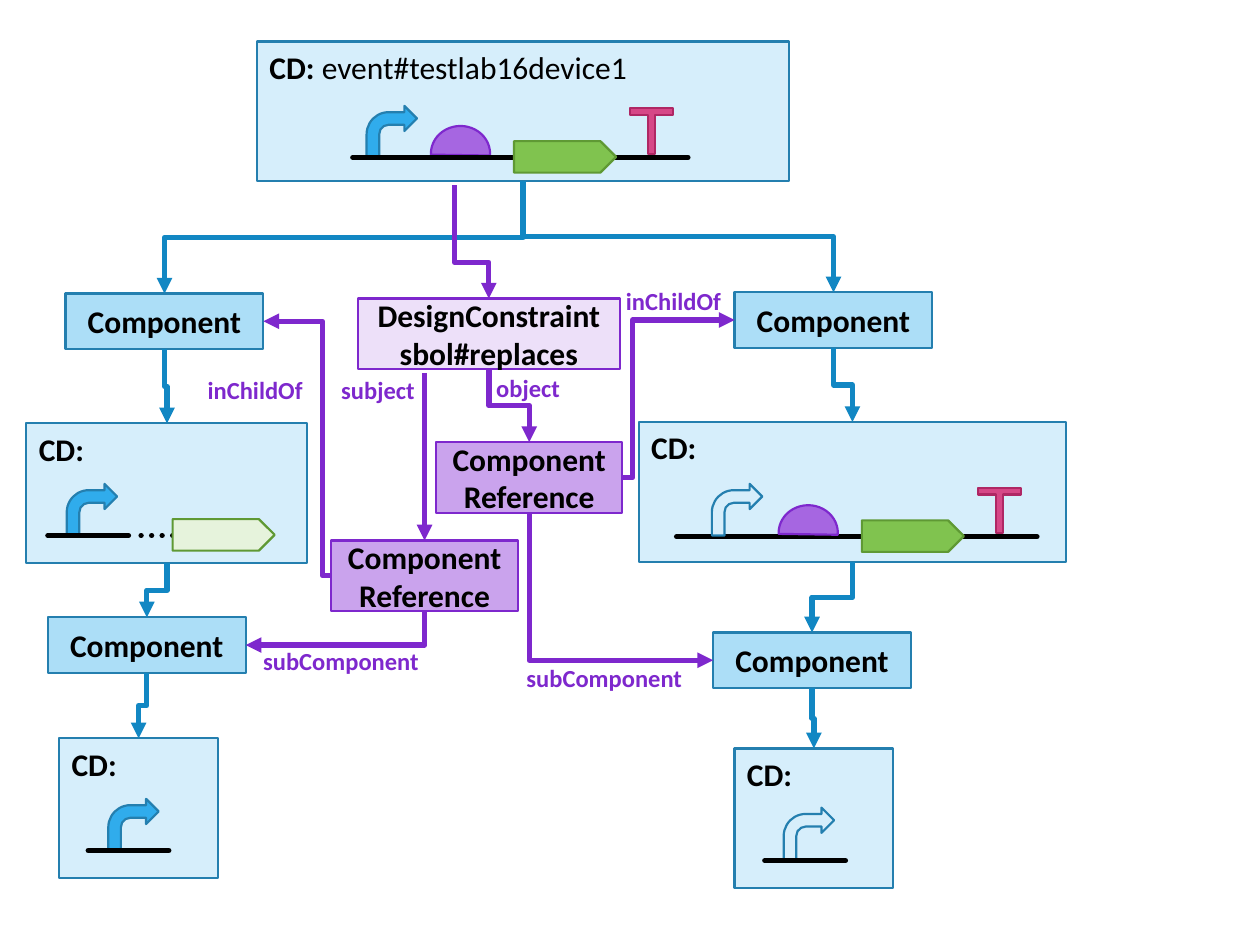
from lxml.etree import SubElement
from pptx import Presentation
from pptx.dml.color import RGBColor
from pptx.enum.dml import MSO_LINE as Dash
from pptx.enum.shapes import MSO_CONNECTOR as Link, MSO_SHAPE as Shape
from pptx.enum.text import MSO_ANCHOR as Anchor, MSO_AUTO_SIZE as Fit, PP_ALIGN as Align
from pptx.oxml.ns import qn
from pptx.util import Inches, Pt

COLUMNS, ROWS = 100, 75
CELL = Inches(10) / COLUMNS
FONT = "Calibri"
COLORS = {
    "panel": "D6EEFB", "part": "ACDEF7", "edge": "247FAF", "flow": "1287C3",
    "violet": "7E28CD", "reference": "CAA3ED", "constraint": "EDE0F9",
    "sky": "30ACEC", "orchid": "A666E1", "green": "80C34F", "pale": "E6F3DC",
    "leaf": "5F9934", "pink": "D64787", "wine": "AF2764", "ink": "000000",
}

PANELS = {
    "device": (20.4, 3.3, 42.2, "event#testlab16device1", 9.2, [
        ("rbs", 34.2), ("terminator", 50), ("promoter", 29.1),
        ("backbone", 28, 26.6), ("cds", 40.8)]),
    "left unit": (2.1, 33.6, 22.3, "", 8.9, [
        ("promoter", 5.3), ("backbone", 3.8, 6.4), ("gap", 11.2, 6.4), ("open cds", 13.7)]),
    "right unit": (50.7, 33.5, 33.9, "", 9.1, [
        ("backbone", 53.7, 28.6), ("rbs", 61.8), ("cds", 68.4),
        ("terminator", 77.6), ("open promoter", 56.5)]),
    "left promoter": (4.7, 58.6, 12.6, "", 8.9, [("promoter", 8.6), ("backbone", 7, 6.4)]),
    "right promoter": (58.3, 59.4, 12.6, "", 8.9, [("open promoter", 62.2), ("backbone", 60.7, 6.4)]),
}
PANEL_HEIGHT = 11.1

GLYPHS = {
    "promoter": (Shape.BENT_ARROW, 4, 4.1, -4.1, "sky", "edge", 0, ()),
    "open promoter": (Shape.BENT_ARROW, 4, 4.1, -4.2, "panel", "edge", 0, ()),
    "rbs": (Shape.CHORD, 4.7, 4.4, -2.5, "orchid", "violet", 0, (106.9, 2.146)),
    "cds": (Shape.PENTAGON, 8.1, 2.5, -1.3, "green", "leaf", 0, ()),
    "open cds": (Shape.PENTAGON, 8.1, 2.5, -1.3, "pale", "leaf", 0, ()),
    "terminator": (Shape.LEFT_RIGHT_UP_ARROW, 3.4, 3.6, -3.9, "pink", "wine", 180, (0.18, 0.08, 0)),
}

STYLES = {
    "part": (15.7, 4.4, ["Component"], "part", "edge"),
    "reference": (14.8, 5.6, ["Component", "Reference"], "reference", "violet"),
    "constraint": (20.8, 5.6, ["DesignConstraint", "sbol#replaces"], "constraint", "violet"),
}
NODES = {
    "left part": ("part", 5.2, 23.3), "right part": ("part", 58.3, 23.2),
    "left subpart": ("part", 3.8, 49), "right subpart": ("part", 56.6, 50.2),
    "object": ("reference", 34.6, 35.1), "constraint": ("constraint", 28.4, 23.7),
    "subject": ("reference", 26.3, 42.9),
}

FLOWS = [
    ("device", "left part"), ("device", "right part"),
    ("left part", "left unit"), ("right part", "right unit"),
    ("left unit", "left subpart"), ("right unit", "right subpart"),
    ("left subpart", "left promoter"), ("right subpart", "right promoter"),
]
DOWN, ACROSS, CORNER = "down", "across", "corner"
RELATIONS = [
    ((36.1, 14.7), ("constraint", "top"), DOWN, 0.68),
    (("constraint", "bottom"), ("object", "top"), DOWN, 0.5),
    (("object", "bottom"), ("right subpart", "left"), CORNER, None),
    (("subject", "bottom"), ("left subpart", "right"), CORNER, None),
    (("subject", "left"), ("left part", "right"), ACROSS, 0.13),
    (("object", "right"), ("right part", "left"), ACROSS, 0.09),
    ((33.7, 29.6), ("subject", "top"), None, None),
]
LABELS = [
    ("inChildOf", 48.7, 22.2, 10), ("inChildOf", 15.5, 29.3, 10),
    ("subject", 26.1, 29.3, 8.1), ("object", 38.4, 29.1, 7.3),
    ("subComponent", 40.8, 52.1, 15), ("subComponent", 19.9, 50.8, 15),
]
SIDES = {"top": (0.5, 0), "bottom": (0.5, 1), "left": (0, 0.5), "right": (1, 0.5)}

deck = Presentation()
deck.slide_width, deck.slide_height = round(COLUMNS * CELL), round(ROWS * CELL)
page = deck.slides.add_slide(deck.slide_layouts[6])
frames = {}


def grid(*cells):
    return [round(cell * CELL) for cell in cells]


def color(name):
    return RGBColor.from_string(COLORS[name])


def add_box(kind, frame, fill, edge):
    box = page.shapes.add_shape(kind, *grid(*frame))
    box.shadow.inherit = False
    box.fill.solid()
    box.fill.fore_color.rgb = color(fill)
    box.line.color.rgb = color(edge)
    box.line.width = Pt(1.25)
    return box


def add_span(para, text, size=18, ink="ink", bold=True):
    span = para.add_run()
    span.text = text
    span.font.name, span.font.size, span.font.bold = FONT, Pt(size), bold
    span.font.color.rgb = color(ink)


def add_line(start, end, ink, kind=Link.STRAIGHT):
    line = page.shapes.add_connector(kind, *grid(*start, *end))
    line.line.color.rgb = color(ink)
    line.line.width = Pt(3)
    SubElement(line._element.spPr, qn("a:effectLst"))
    return line


def anchor(place):
    if place[0] not in frames:
        return place
    left, top, width, height = frames[place[0]]
    across, down = SIDES[place[1]]
    return left + across * width, top + down * height


def add_arrow(source, target, ink, route, bend):
    start, end = anchor(source), anchor(target)
    line = add_line(start, end, ink, Link.ELBOW if route else Link.STRAIGHT)
    SubElement(line.line._get_or_add_ln(), qn("a:tailEnd"), type="triangle")
    props = line._element.spPr
    if route in (DOWN, CORNER):
        (x1, y1), (x2, y2) = start, end
        width, height = abs(y2 - y1), abs(x2 - x1)
        line.left, line.top, line.width, line.height = grid(
            (x1 + x2 - width) / 2, (y1 + y2 - height) / 2, width, height)
        turn = props.find(qn("a:xfrm"))
        turn.attrib.pop("flipH", None)
        turn.set("rot", str((270 if x2 > x1 else 90) * 60000))
        if x2 > x1:
            turn.set("flipH", "1")
    shape = props.find(qn("a:prstGeom"))
    if route == CORNER:
        shape.set("prst", "bentConnector2")
    elif bend:
        SubElement(shape.find(qn("a:avLst")), qn("a:gd"),
                   name="adj1", fmla=f"val {round(bend * 100000)}")


def add_glyph(base, name, left, length=0):
    if name in ("backbone", "gap"):
        line = add_line((left, base), (left + length, base), "ink")
        line.line._get_or_add_ln().set("cap", "rnd")
        if name == "gap":
            line.line.dash_style = Dash.ROUND_DOT
        return
    kind, width, height, rise, fill, edge, turn, adjust = GLYPHS[name]
    box = add_box(kind, (left, base + rise, width, height), fill, edge)
    box.rotation = turn
    for index, value in enumerate(adjust):
        box.adjustments[index] = value


for name, (left, top, width, title, base, glyphs) in PANELS.items():
    frames[name] = (left, top, width, PANEL_HEIGHT)
    box = add_box(Shape.RECTANGLE, frames[name], "panel", "edge")
    box.text_frame.vertical_anchor = Anchor.TOP
    para = box.text_frame.paragraphs[0]
    para.alignment = Align.LEFT
    add_span(para, "CD: " if title else "CD:")
    if title:
        add_span(para, title, bold=False)
    for glyph in glyphs:
        add_glyph(top + base, *glyph)

for name, (style, left, top) in NODES.items():
    width, height, lines, fill, edge = STYLES[style]
    frames[name] = (left, top, width, height)
    text = add_box(Shape.RECTANGLE, frames[name], fill, edge).text_frame
    text.vertical_anchor = Anchor.MIDDLE
    for index, words in enumerate(lines):
        para = text.add_paragraph() if index else text.paragraphs[0]
        para.alignment = Align.CENTER
        add_span(para, words)

for source, target in FLOWS:
    add_arrow((source, "bottom"), (target, "top"), "flow", DOWN, 0.5)
for source, target, route, bend in RELATIONS:
    add_arrow(source, target, "violet", route, bend)

for words, left, top, width in LABELS:
    text = page.shapes.add_textbox(*grid(left, top, width, 3.4)).text_frame
    text.word_wrap = False
    text.auto_size = Fit.SHAPE_TO_FIT_TEXT
    add_span(text.paragraphs[0], words, 14, "violet")

deck.save("out.pptx")
